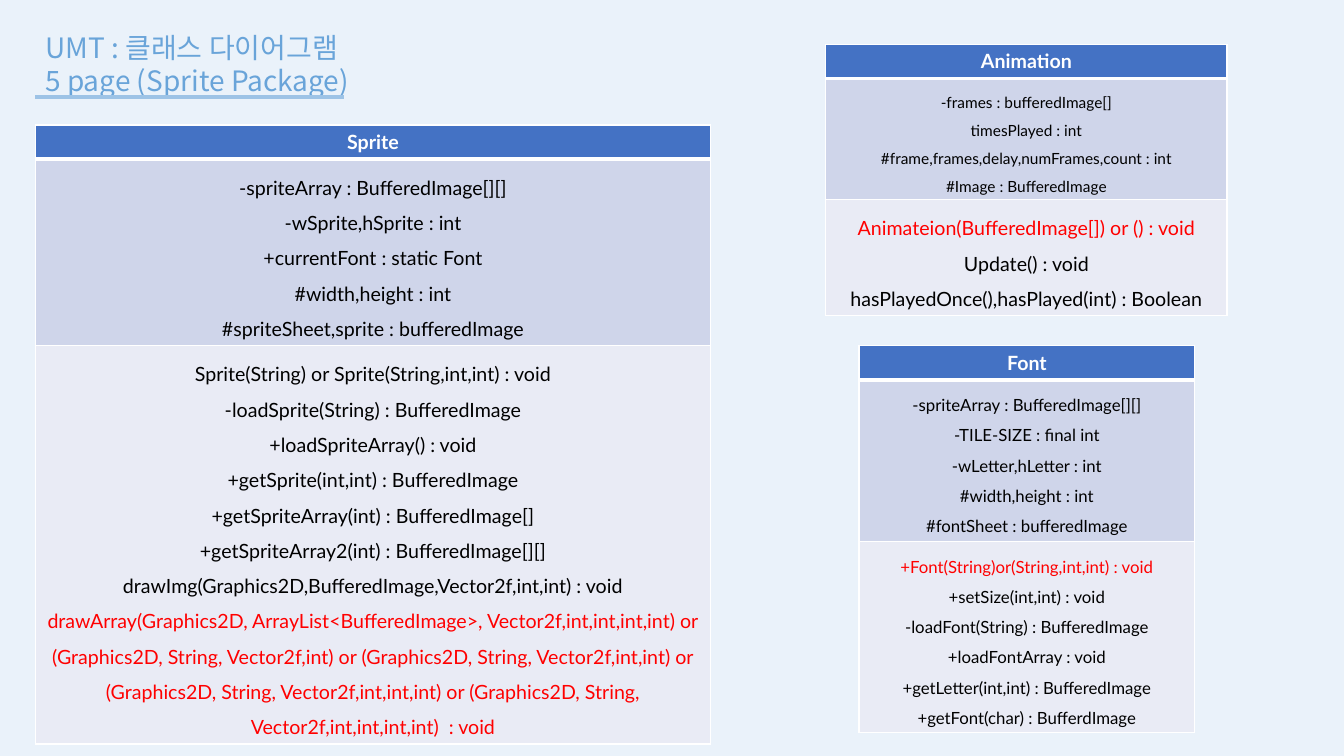
from dataclasses import dataclass

from lxml import etree
from pptx import Presentation
from pptx.dml.color import RGBColor
from pptx.enum.shapes import MSO_CONNECTOR
from pptx.enum.text import MSO_AUTO_SIZE, PP_ALIGN
from pptx.oxml.ns import qn
from pptx.util import Inches, Pt

STRAIGHT = MSO_CONNECTOR.STRAIGHT
CENTER = PP_ALIGN.CENTER
GROW = MSO_AUTO_SIZE.SHAPE_TO_FIT_TEXT


@dataclass(frozen=True)
class Theme:
    background: str = "EAF2FA"
    title: str = "69A4D9"
    rule: str = "9DC3E6"
    border: str = "FFFFFF"
    header_text: str = "FFFFFF"
    body_text: str = "000000"
    highlight: str = "FF0000"
    header_fill: str = "4472C4"
    field_fill: str = "CFD5EA"
    method_fill: str = "E9EBF5"
    title_font: str = "Noto Sans CJK KR"
    table_font: str = "Lato"
    title_size: int = 20
    large: int = 14
    medium: int = 12
    small: int = 11


class DiagramPage:
    def __init__(self, deck, theme):
        self.theme = theme
        self.page = deck.slides.add_slide(deck.slide_layouts[6])
        fill = self.page.background.fill
        fill.solid()
        fill.fore_color.rgb = RGBColor.from_string(theme.background)

    def style(self, para, font_name, size, color, bold=False):
        font = para.font
        font.name = font_name
        font.size = Pt(size)
        font.bold = bold
        font.color.rgb = RGBColor.from_string(color)

    def title(self, lines, left, top, width, height):
        box = self.page.shapes.add_textbox(
            Inches(left), Inches(top), Inches(width), Inches(height))
        frame = box.text_frame
        frame.word_wrap = True
        frame.auto_size = GROW
        frame.text = "\n".join(lines)
        for para in frame.paragraphs:
            self.style(para, self.theme.title_font, self.theme.title_size, self.theme.title)
            latin = para.font._element.find(qn("a:latin"))
            east_asian = etree.Element(qn("a:ea"), typeface=self.theme.title_font)
            latin.addnext(east_asian)

    def rule(self, left, right, top):
        line = self.page.shapes.add_connector(
            STRAIGHT, Inches(left), Inches(top), Inches(right), Inches(top))
        line.line.color.rgb = RGBColor.from_string(self.theme.rule)
        line.line.width = Pt(3)
        etree.SubElement(line._element.spPr, qn("a:effectLst"))

    def borders(self, cell, bottom_width):
        properties = cell._tc.get_or_add_tcPr()
        widths = {"lnL": 1, "lnR": 1, "lnT": 1, "lnB": bottom_width}
        for index, (side, width) in enumerate(widths.items()):
            edge = etree.Element(qn(f"a:{side}"), w=str(Pt(width)))
            solid = etree.SubElement(edge, qn("a:solidFill"))
            etree.SubElement(solid, qn("a:srgbClr"), val=self.theme.border)
            properties.insert(index, edge)

    def cell(self, cell, lines, size, fill, header=False, highlighted=None):
        theme = self.theme
        cell.fill.solid()
        cell.fill.fore_color.rgb = RGBColor.from_string(fill)
        self.borders(cell, 3 if header else 1)
        cell.text = "\n".join(lines)
        for index, para in enumerate(cell.text_frame.paragraphs):
            color = theme.header_text if header else theme.body_text
            if index == highlighted:
                color = theme.highlight
            para.alignment = CENTER
            if not header:
                para.line_spacing = 1.5
            self.style(para, theme.table_font, size, color, header)

    def class_table(self, name, fields, methods, place, row_heights,
                    field_size, method_size, highlighted):
        theme = self.theme
        left, top, width = place
        table = self.page.shapes.add_table(
            3, 1, Inches(left), Inches(top), Inches(width),
            Inches(sum(row_heights))).table
        for row, height in zip(table.rows, row_heights):
            row.height = Inches(height)
        self.cell(table.cell(0, 0), [name], theme.large, theme.header_fill, header=True)
        self.cell(table.cell(1, 0), fields, field_size, theme.field_fill)
        self.cell(table.cell(2, 0), methods, method_size, theme.method_fill,
                  highlighted=highlighted)


def main():
    deck = Presentation()
    deck.slide_width = Inches(13.33)
    deck.slide_height = Inches(7.5)
    theme = Theme()
    diagram = DiagramPage(deck, theme)

    diagram.title(["UMT : 클래스 다이어그램", "5 page (Sprite Package)"], 0.35, 0.25, 3.33, 0.77)
    diagram.rule(0.35, 3.41, 0.96)

    diagram.class_table(
        "Animation",
        ["-frames : bufferedImage[]",
         "timesPlayed : int",
         "#frame,frames,delay,numFrames,count : int",
         "#Image : BufferedImage"],
        ["Animateion(BufferedImage[]) or () : void",
         "Update() : void",
         "hasPlayedOnce(),hasPlayed(int) : Boolean"],
        (8.19, 0.44, 3.98), (0.34, 1.2, 1.15), theme.small, theme.large, 0)

    diagram.class_table(
        "Sprite",
        ["-spriteArray : BufferedImage[][]",
         "-wSprite,hSprite : int",
         "+currentFont : static Font",
         "#width,height : int",
         "#spriteSheet,sprite : bufferedImage"],
        ["Sprite(String) or Sprite(String,int,int) : void",
         "-loadSprite(String) : BufferedImage",
         "+loadSpriteArray() : void",
         "+getSprite(int,int) : BufferedImage",
         "+getSpriteArray(int) : BufferedImage[]",
         "+getSpriteArray2(int) : BufferedImage[][]",
         "drawImg(Graphics2D,BufferedImage,Vector2f,int,int) : void",
         "drawArray(Graphics2D, ArrayList<BufferedImage>, Vector2f,int,int,int,int) or "
         "(Graphics2D, String, Vector2f,int) or (Graphics2D, String, Vector2f,int,int) or "
         "(Graphics2D, String, Vector2f,int,int,int) or "
         "(Graphics2D, String, Vector2f,int,int,int,int)  : void"],
        (0.35, 1.24, 6.7), (0.34, 1.85, 3.95), theme.large, theme.large, 7)

    diagram.class_table(
        "Font",
        ["-spriteArray : BufferedImage[][]",
         "-TILE-SIZE : final int",
         "-wLetter,hLetter : int",
         "#width,height : int",
         "#fontSheet : bufferedImage"],
        ["+Font(String)or(String,int,int) : void",
         "+setSize(int,int) : void",
         "-loadFont(String) : BufferedImage",
         "+loadFontArray : void",
         "+getLetter(int,int) : BufferedImage",
         "+getFont(char) : BufferdImage"],
        (8.52, 3.43, 3.33), (0.34, 1.6, 1.9), theme.medium, theme.medium, 0)

    deck.save("out.pptx")


if __name__ == "__main__":
    main()
